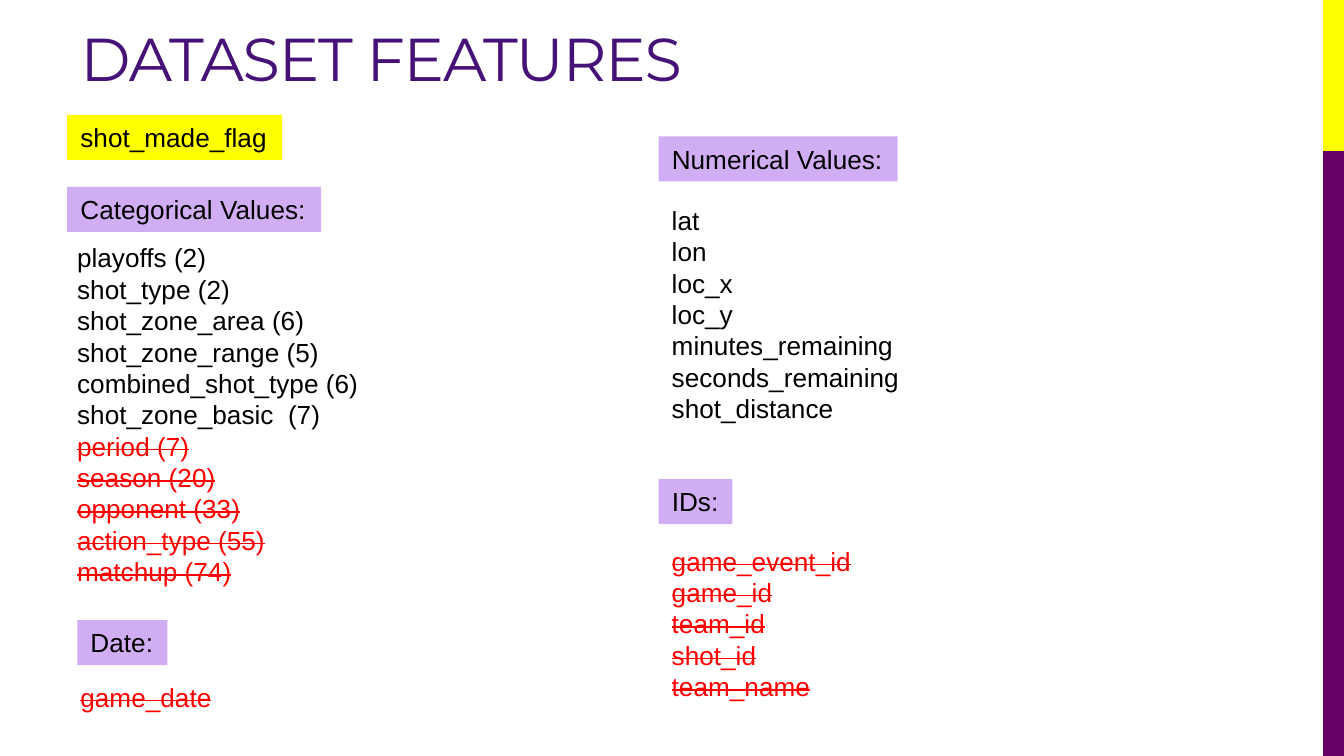
from dataclasses import dataclass

import pptx
import pptx.dml.color
import pptx.enum.shapes
import pptx.enum.text
import pptx.util

PX = 4572  # EMU per px, 200 px to the inch
PAGE_WIDTH, PAGE_HEIGHT = 2000, 1125
LABEL_HEIGHT = 67
TEXT_SIZE = 14
BLACK, RED, YELLOW = "000000", "FF0000", "FFFF00"
LILAC, PURPLE, INDIGO = "D1AEF3", "660066", "471278"


@dataclass(frozen=True)
class Box:
    left: int
    top: int
    width: int
    height: int


@dataclass(frozen=True)
class Label:
    text: str
    left: int
    top: int
    width: int
    fill: str = LILAC


@dataclass(frozen=True)
class FeatureList:
    box: Box
    kept: tuple[str, ...] = ()
    dropped: tuple[str, ...] = ()
    wrap: bool = True


BARS = ((Box(1969, 0, 31, 225), YELLOW), (Box(1969, 225, 31, 900), PURPLE))

LABELS = (
    Label("shot_made_flag", 100, 171, 320, YELLOW),
    Label("Numerical Values:", 980, 203, 356),
    Label("Date:", 115, 923, 134),
    Label("IDs:", 980, 713, 110),
    Label("Categorical Values:", 100, 278, 378),
)

FEATURES = (
    FeatureList(
        Box(95, 350, 550, 538),
        kept=("playoffs (2)", "shot_type (2)", "shot_zone_area (6)", "shot_zone_range (5)",
              "combined_shot_type (6)", "shot_zone_basic  (7)"),
        dropped=("period (7)", "season (20)", "opponent (33)", "action_type (55)", "matchup (74)"),
    ),
    FeatureList(Box(100, 1004, 236, 67), dropped=("game_date",), wrap=False),
    FeatureList(
        Box(980, 294, 552, 350),
        kept=("lat", "lon", "loc_x", "loc_y", "minutes_remaining", "seconds_remaining",
              "shot_distance"),
    ),
    FeatureList(
        Box(980, 801, 466, 256),
        dropped=("game_event_id", "game_id", "team_id", "shot_id", "team_name"),
    ),
)


def color(value: str) -> pptx.dml.color.RGBColor:
    return pptx.dml.color.RGBColor.from_string(value)


def place(box: Box) -> tuple[int, int, int, int]:
    return box.left * PX, box.top * PX, box.width * PX, box.height * PX


def style(paragraph, font_name: str, size: float, hue: str) -> None:
    paragraph.alignment = pptx.enum.text.PP_ALIGN.LEFT
    paragraph.font.name = font_name
    paragraph.font.size = pptx.util.Pt(size)
    paragraph.font.color.rgb = color(hue)


def add_bar(page, box: Box, fill: str):
    bar = page.shapes.add_shape(pptx.enum.shapes.MSO_SHAPE.RECTANGLE, *place(box))
    bar.shadow.inherit = False
    bar.fill.solid()
    bar.fill.fore_color.rgb = color(fill)
    bar.line.fill.background()
    return bar


def fit_text(frame, wrap: bool) -> None:
    frame.word_wrap = wrap
    frame.auto_size = pptx.enum.text.MSO_AUTO_SIZE.SHAPE_TO_FIT_TEXT


def add_label(page, label: Label) -> None:
    box = Box(label.left, label.top, label.width, LABEL_HEIGHT)
    frame = add_bar(page, box, label.fill).text_frame
    fit_text(frame, wrap=False)
    frame.vertical_anchor = pptx.enum.text.MSO_ANCHOR.TOP
    frame.text = label.text
    style(frame.paragraphs[0], "Arial", TEXT_SIZE, BLACK)


def add_features(page, features: FeatureList) -> None:
    frame = page.shapes.add_textbox(*place(features.box)).text_frame
    fit_text(frame, features.wrap)
    frame.text = "\n".join(features.kept + features.dropped)
    for index, paragraph in enumerate(frame.paragraphs):
        is_dropped = index >= len(features.kept)
        style(paragraph, "Arial", TEXT_SIZE, RED if is_dropped else BLACK)
        if is_dropped:
            paragraph.runs[0]._r.get_or_add_rPr().set("strike", "sngStrike")


def set_title(page, text: str) -> None:
    title = page.shapes.title
    title.left, title.top, title.width, title.height = place(Box(100, 25, 1650, 124))
    frame = title.text_frame
    frame.text = text
    frame.word_wrap = True
    frame.auto_size = pptx.enum.text.MSO_AUTO_SIZE.NONE
    frame.vertical_anchor = pptx.enum.text.MSO_ANCHOR.BOTTOM
    style(frame.paragraphs[0], "Montserrat", 32.4, INDIGO)
    # Slightly tightened letter spacing
    frame.paragraphs[0].runs[0]._r.get_or_add_rPr().set("spc", "-60")


def main() -> None:
    deck = pptx.Presentation()
    deck.slide_width, deck.slide_height = PAGE_WIDTH * PX, PAGE_HEIGHT * PX
    page = deck.slides.add_slide(deck.slide_layouts.get_by_name("Title Only"))

    # Title and coloured edge
    set_title(page, "DATASET FEATURES")
    for box, fill in BARS:
        add_bar(page, box, fill)

    # Feature groups and their headings
    for features in FEATURES:
        add_features(page, features)
    for label in LABELS:
        add_label(page, label)

    deck.save("out.pptx")


if __name__ == "__main__":
    main()
